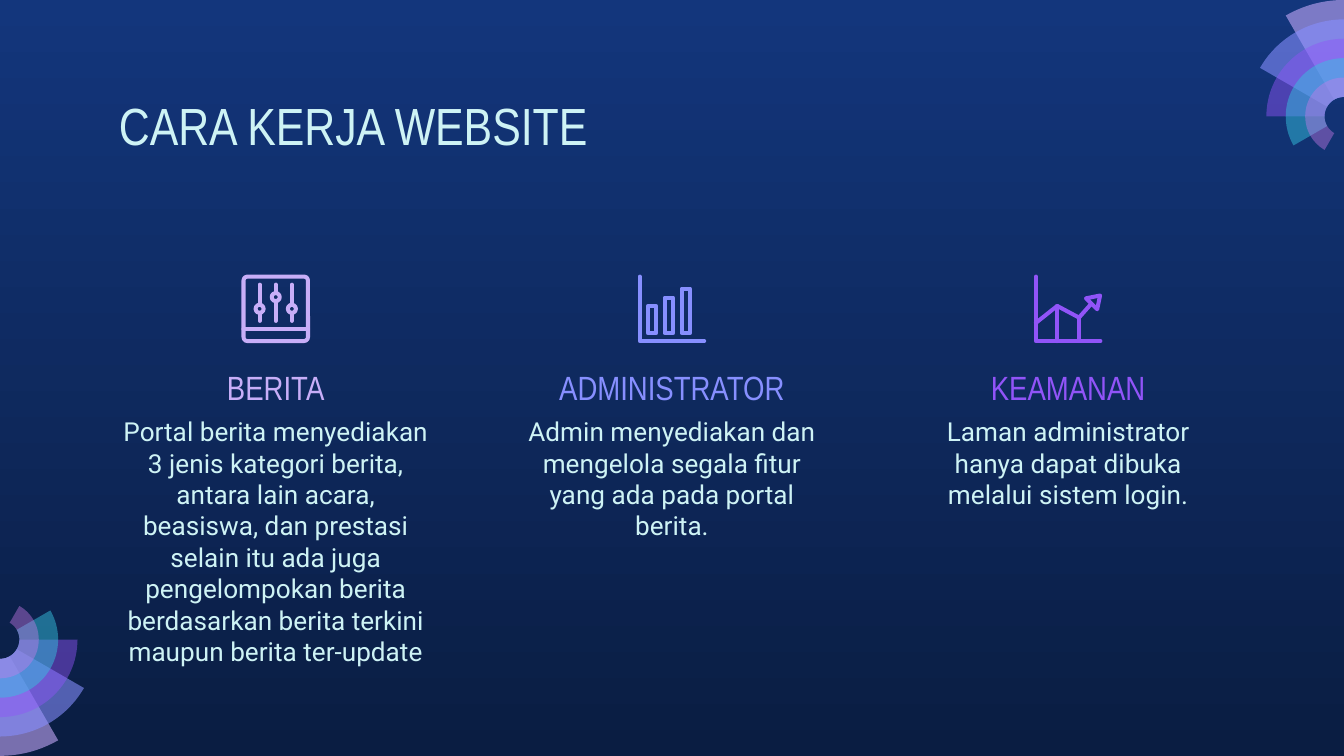
from math import cos, radians, sin

from lxml.etree import SubElement
from pptx import Presentation
from pptx.dml.color import RGBColor
from pptx.enum.shapes import MSO_SHAPE
from pptx.enum.text import MSO_ANCHOR, PP_ALIGN
from pptx.oxml.ns import qn
from pptx.util import Inches, Pt

WIDTH = Inches(10)
HEIGHT = WIDTH * 9 // 16
GRID_COLUMNS = 100  # square cells, also used for rows
PALE, LILAC, LAVENDER, PURPLE = "CEF3F5", "C8AEF8", "878FFF", "9154F8"
HEADING_FONT, BODY_FONT = "Arial Narrow", "Roboto"
ICON_UNITS = 17  # an icon is 17 strokes wide
# Colour and opacity of each fan blade, from the longest to the shortest
BLADES = [("C8ACFD", 58), (LAVENDER, 58), (PURPLE, 46), ("35C2DF", 49), ("CA7BEB", 42)]


def color(hex_code):
    return RGBColor.from_string(hex_code)


def cells(count):
    """Length of a number of grid cells."""
    return round(count * WIDTH / GRID_COLUMNS)


def paint_background(page):
    fill = page.background.fill
    fill.gradient()
    fill.gradient_angle = 270
    for stop, hex_code in zip(fill.gradient_stops, ("13367C", "0A1D42")):
        stop.color.rgb = color(hex_code)


def add_text(page, box, text, size, font, hex_code, align=PP_ALIGN.CENTER,
             anchor=MSO_ANCHOR.TOP):
    frame = page.shapes.add_textbox(*box).text_frame
    frame.word_wrap = True
    frame.vertical_anchor = anchor
    frame.margin_left = frame.margin_right = Inches(0.1)
    frame.margin_top = frame.margin_bottom = Inches(0.1)
    para = frame.paragraphs[0]
    para.text = text
    para.alignment = align
    para.font.size = Pt(size)
    para.font.name = font
    para.font.color.rgb = color(hex_code)


def add_outline(group, points, closed):
    builder = group.shapes.build_freeform(*points[0], scale=1.0)
    builder.add_line_segments(points[1:], close=closed)
    shape = builder.convert_to_shape()
    shape.shadow.inherit = False
    return shape


def add_fan(page, center_x, center_y, radius, turn):
    """Five blades share a hub; each is 30 degrees wider than the one before."""
    group = page.shapes.add_group_shape()
    ring = radius / (len(BLADES) + 1)

    def arc(distance, angles):
        return [(round(center_x + distance * cos(radians(angle + turn))),
                 round(center_y + distance * sin(radians(angle + turn))))
                for angle in angles]

    for index, (hex_code, opacity) in enumerate(BLADES):
        angles = range(60 - 30 * index, 91, 3)
        points = arc(radius - ring * index, angles) + arc(ring, reversed(angles))
        blade = add_outline(group, points, True)
        blade.line.fill.background()
        blade.fill.solid()
        blade.fill.fore_color.rgb = color(hex_code)
        tint = blade.fill._xPr.find(qn("a:solidFill"))[0]
        SubElement(tint, qn("a:alpha")).set("val", str(opacity * 1000))


class Icon:
    """Line drawing on a grid whose unit is the stroke width."""

    def __init__(self, page, left, top, size, hex_code):
        self.group = page.shapes.add_group_shape()
        self.left, self.top = left, top
        self.unit = size / ICON_UNITS
        self.hex_code = hex_code

    def spot(self, x, y):
        return round(self.left + x * self.unit), round(self.top + y * self.unit)

    def ink(self, shape):
        shape.shadow.inherit = False
        shape.fill.background()
        shape.line.color.rgb = color(self.hex_code)
        shape.line.width = round(self.unit)
        outline = shape.line._get_or_add_ln()
        outline.set("cap", "rnd")
        SubElement(outline, qn("a:round"))

    def stroke(self, *points, closed=False):
        self.ink(add_outline(self.group, [self.spot(*point) for point in points], closed))

    def preset(self, kind, x, y, size):
        side = round(size * self.unit)
        shape = self.group.shapes.add_shape(kind, *self.spot(x, y), side, side)
        self.ink(shape)
        return shape

    def axes(self):
        self.stroke((0.5, 0.5), (0.5, 16.5), (16.5, 16.5))


def draw_sliders(icon):
    icon.preset(MSO_SHAPE.ROUNDED_RECTANGLE, 0.5, 0.5, 16).adjustments[0] = 0.06
    icon.stroke((0.5, 13.5), (16.5, 13.5))
    for x, knob in ((4.5, 8.5), (8.5, 5.6), (12.5, 8.5)):
        icon.stroke((x, 2.5), (x, knob - 1))
        icon.stroke((x, knob + 1), (x, 11.5))
        icon.preset(MSO_SHAPE.OVAL, x - 1, knob - 1, 2)


def draw_bars(icon):
    icon.axes()
    for index in range(3):
        left, top = 2.5 + 4.2 * index, 7.9 - 2.2 * index
        right, bottom = left + 2.1, 14.5
        icon.stroke((left, top), (right, top), (right, bottom), (left, bottom), closed=True)


def draw_trend(icon):
    icon.axes()
    peak, dip = (5.8, 7.8), (11.2, 10.7)
    icon.stroke((0.5, 12), peak, dip, (14.2, 7.3))
    for x, y in (peak, dip):
        icon.stroke((x, y), (x, 16.5))
    icon.stroke((16.4, 5.2), (15.7, 8.6), (12.9, 5.9), closed=True)


def add_feature(page, left, top, width, heading, body, body_rows, hex_code, draw_icon):
    """Stack an icon, a heading and a body text in one column."""
    icon_size = cells(5.1)
    draw_icon(Icon(page, left + (width - icon_size) // 2, top, icon_size, hex_code))
    add_text(page, (left, top + cells(6.2), width, cells(4.3)),
             heading, 18, HEADING_FONT, hex_code, anchor=MSO_ANCHOR.MIDDLE)
    add_text(page, (left, top + cells(9.5), width, cells(body_rows)),
             body, 14, BODY_FONT, PALE)


FEATURES = [
    ("BERITA", "Portal berita menyediakan 3 jenis kategori berita, antara lain acara, "
     "beasiswa, dan prestasi selain itu ada juga pengelompokan berita berdasarkan "
     "berita terkini maupun berita ter-update", 20.4, LILAC, draw_sliders),
    ("ADMINISTRATOR", "Admin menyediakan dan mengelola segala fitur yang ada pada "
     "portal berita.", 11.4, LAVENDER, draw_bars),
    ("KEAMANAN", "Laman administrator hanya dapat dibuka melalui sistem login.",
     8.7, PURPLE, draw_trend),
]


def main():
    deck = Presentation()
    deck.slide_width, deck.slide_height = WIDTH, HEIGHT
    page = deck.slides.add_slide(deck.slide_layouts[6])
    paint_background(page)

    radius = cells(8.66)
    add_fan(page, 0, HEIGHT - radius, radius, turn=0)
    add_fan(page, WIDTH, radius, radius, turn=180)

    margin = cells(7.87)
    content_width = WIDTH - 2 * margin
    add_text(page, (margin, cells(5.95), content_width, cells(6.3)),
             "CARA KERJA WEBSITE", 28, HEADING_FONT, PALE, align=PP_ALIGN.LEFT)

    column = cells(25.3)
    pitch = (content_width - column) // (len(FEATURES) - 1)
    for index, feature in enumerate(FEATURES):
        add_feature(page, margin + index * pitch, cells(20.43), column, *feature)

    deck.save("out.pptx")


if __name__ == "__main__":
    main()
